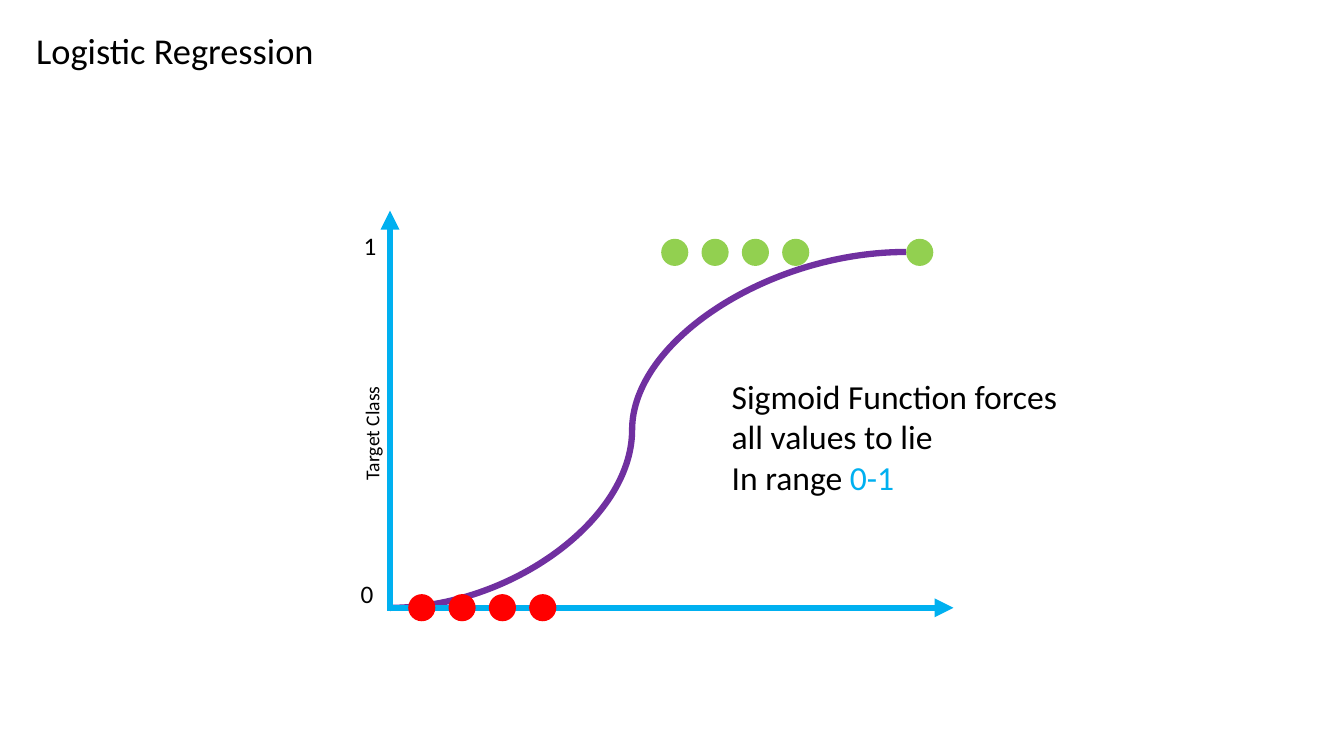
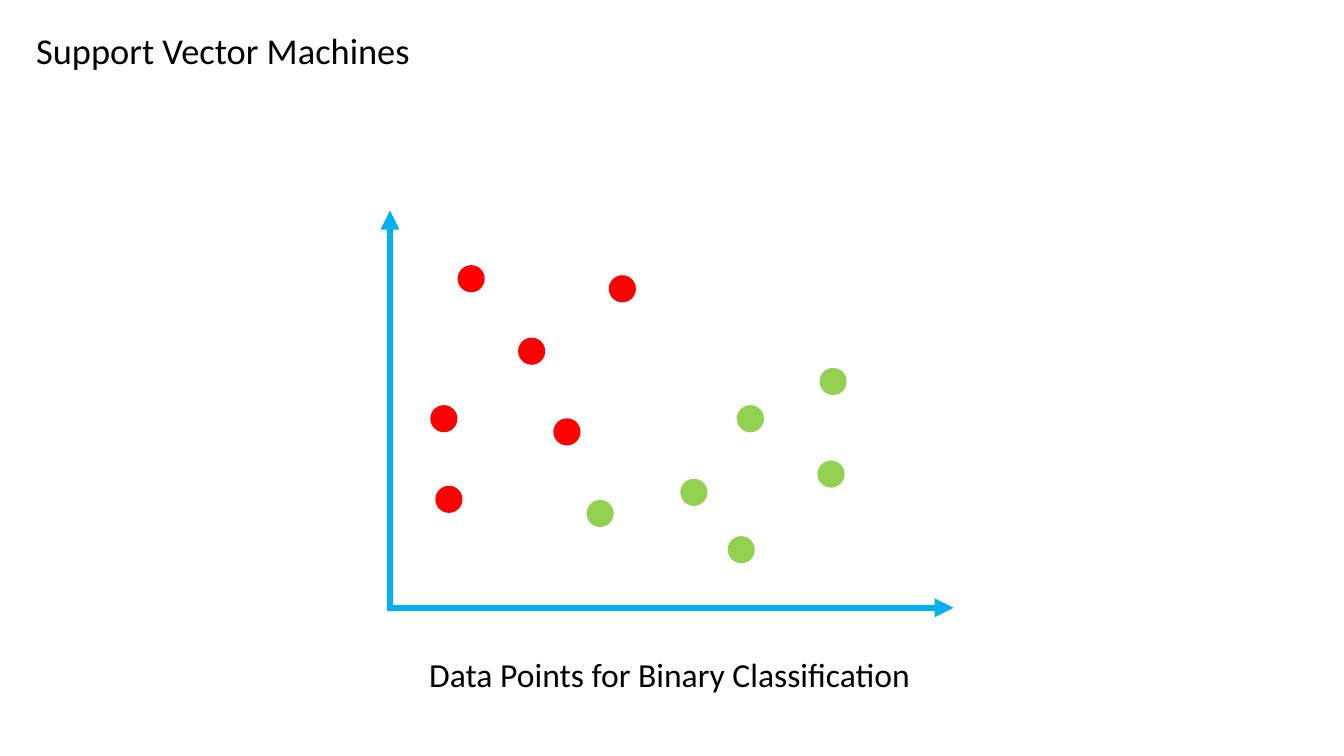
import pptx
import pptx.util
import pptx.dml.color
import pptx.enum.shapes
import pptx.enum.text
import pptx.oxml.ns
import lxml.etree

Pt = pptx.util.Pt
CONNECTOR = pptx.enum.shapes.MSO_CONNECTOR
qn = pptx.oxml.ns.qn

BLACK, BLUE, PURPLE = "000000", "00B0F0", "7030A0"
RED, GREEN = "FF0000", "92D050"
DOT = 19.4
DOT_STEP = 28.8


def color(hex_value):
    return pptx.dml.color.RGBColor.from_string(hex_value)


def add_text(slide, text, box, size=24, rotation=0, accent=""):
    """Write text, one paragraph a line, with the accent words in blue."""
    label = slide.shapes.add_textbox(*(Pt(length) for length in box))
    label.rotation = rotation
    frame = label.text_frame
    frame.word_wrap = False
    frame.auto_size = pptx.enum.text.MSO_AUTO_SIZE.SHAPE_TO_FIT_TEXT
    for index, line in enumerate(text.split("\n")):
        paragraph = frame.paragraphs[0] if index == 0 else frame.add_paragraph()
        plain, found, rest = line.partition(accent) if accent else (line, "", "")
        for words, ink in ((plain, BLACK), (found, BLUE), (rest, BLACK)):
            if words:
                run = paragraph.add_run()
                run.text = words
                run.font.name = "Calibri"
                run.font.size = Pt(size)
                run.font.color.rgb = color(ink)


# Content of the two slides; dots are (left, top, fill)
axes = (CONNECTOR.ELBOW, (278.6, 150.5, 681.1, 434.2), BLUE, 0, True)
sigmoid = (CONNECTOR.CURVE, (647.3, 180, 278.6, 434.2), PURPLE, 53100, False)

class_rows = [(291.6 + i * DOT_STEP, 424.4, RED) for i in range(4)]
class_rows += [(472.3 + i * DOT_STEP, 170.6, GREEN) for i in range(4)]
class_rows.append((647.3, 170.6, GREEN))

green_points = [(419, 357.1), (585.4, 262.8), (583.9, 329),
                (519.8, 383), (526.3, 289.4), (486, 342)]
red_points = [(311, 347), (307.4, 289.4), (395.3, 298.8),
              (370.1, 241.2), (434.9, 196.6), (326.9, 189.4)]
scatter = [(x, y, GREEN) for x, y in green_points]
scatter += [(x, y, RED) for x, y in red_points]

regression_labels = [
    ("0", (250.6, 409.7, 23.8, 28.8), {"size": 18}),
    ("1", (252.7, 161.3, 23.8, 28.8), {"size": 18}),
    ("Target Class", (219.6, 291.6, 92.2, 24.5), {"size": 14, "rotation": 270}),
    ("Sigmoid Function forces\nall values to lie\nIn range 0-1",
     (515.5, 265, 254.9, 94.3), {"accent": "0-1"}),
]
vector_labels = [
    ("Data Points for Binary Classification", (299.5, 463.7, 361.4, 36), {}),
]

pages = [
    ("Logistic Regression", 214.6, [sigmoid, axes], class_rows, regression_labels),
    ("Support Vector Machines", 284.4, [axes], scatter, vector_labels),
]

presentation = pptx.Presentation()
presentation.slide_width, presentation.slide_height = Pt(960), Pt(540)

for title, title_width, curves, dots, labels in pages:
    slide = presentation.slides.add_slide(presentation.slide_layouts[6])
    add_text(slide, title, (18.7, 16.6, title_width, 38.9), size=26)

    # Sigmoid curve and axes
    for kind, ends, ink, bend, arrows in curves:
        curve = slide.shapes.add_connector(kind, *(Pt(end) for end in ends))
        curve.line.color.rgb = color(ink)
        curve.line.width = Pt(4.5)
        properties = curve.element.spPr
        guides = properties.find(qn("a:prstGeom")).get_or_add_avLst()
        lxml.etree.SubElement(guides, qn("a:gd"), name="adj1", fmla=f"val {bend}")
        if arrows:
            outline = properties.find(qn("a:ln"))
            lxml.etree.SubElement(outline, qn("a:miter"), lim="800000")
            for end in ("a:headEnd", "a:tailEnd"):
                lxml.etree.SubElement(outline, qn(end), type="triangle")
        lxml.etree.SubElement(properties, qn("a:effectLst"))

    # Data points
    for left, top, fill in dots:
        dot = slide.shapes.add_shape(pptx.enum.shapes.MSO_SHAPE.OVAL,
                                     Pt(left), Pt(top), Pt(DOT), Pt(DOT))
        dot.shadow.inherit = False
        dot.fill.solid()
        dot.fill.fore_color.rgb = color(fill)
        dot.line.fill.background()

    # Axis labels and remarks
    for text, box, style in labels:
        add_text(slide, text, box, **style)

presentation.save("out.pptx")
